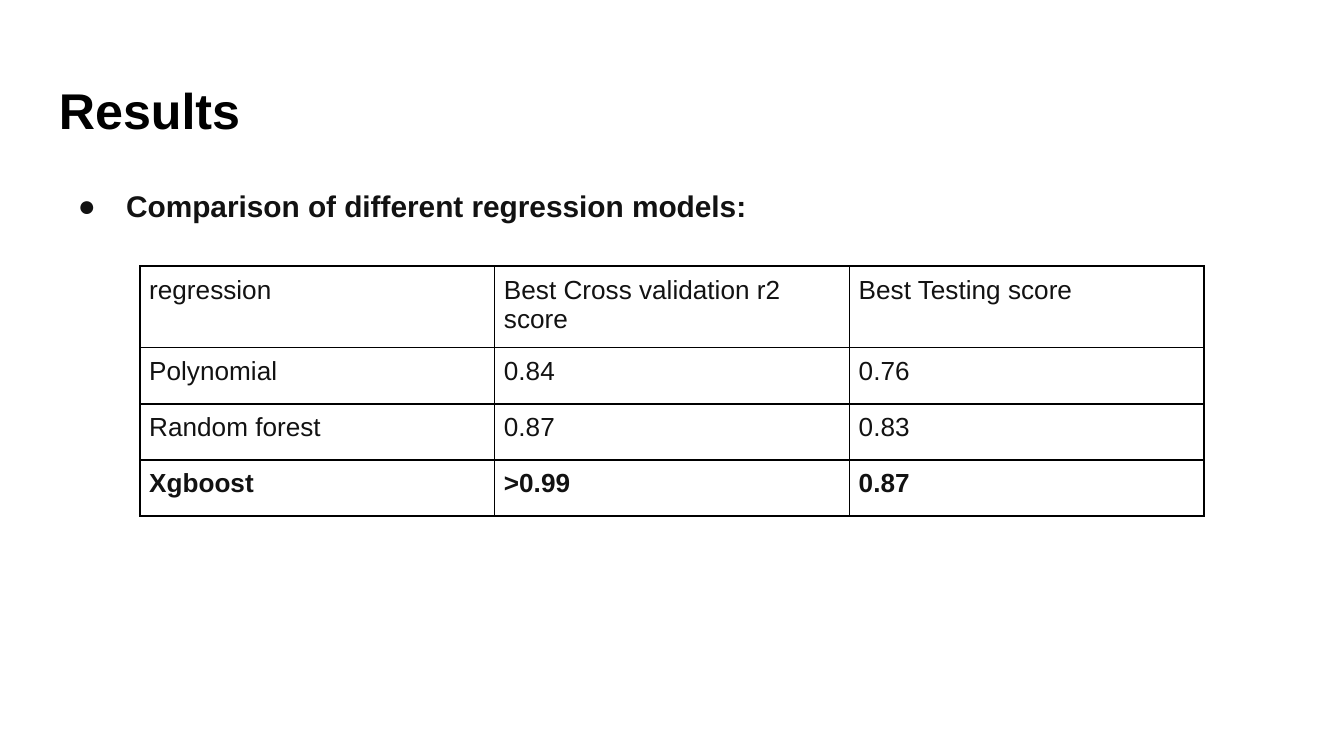
from lxml.etree import SubElement
from pptx import Presentation
from pptx.dml.color import RGBColor
from pptx.oxml.ns import qn
from pptx.util import Inches, Pt

TITLE = "Results"
SUBTITLE = "Comparison of different regression models:"
SCORES = [
    ("regression", "Best Cross validation r2 score", "Best Testing score"),
    ("Polynomial", "0.84", "0.76"),
    ("Random forest", "0.87", "0.83"),
    ("Xgboost", ">0.99", "0.87"),
]
BEST_MODEL = "Xgboost"
BLACK, INK = "000000", "121212"
TABLE_WIDTH, TABLE_HEIGHT = 7.92, 1.67


def style(paragraph, size, color, bold=False):
    for run in paragraph.runs:
        run.font.name = "Arial"
        run.font.size = Pt(size)
        run.font.bold = bold
        run.font.color.rgb = RGBColor.from_string(color)


def set_margins(target, inches):
    target.margin_left = target.margin_right = Inches(inches)
    target.margin_top = target.margin_bottom = Inches(inches)


def add_text(slide, text, top, height, size, color):
    """Add a bold full-width line of text and return its paragraph."""
    box = slide.shapes.add_textbox(Inches(0.34), Inches(top), Inches(9.32), Inches(height))
    frame = box.text_frame
    frame.word_wrap = True
    set_margins(frame, 0.1)
    frame.text = text
    style(frame.paragraphs[0], size, color, bold=True)
    return frame.paragraphs[0]


def add_bullet(paragraph, color):
    properties = paragraph._p.get_or_add_pPr()
    properties.set("marL", str(Inches(0.5)))
    properties.set("indent", str(Inches(-0.36)))
    bullet_color = SubElement(properties, qn("a:buClr"))
    SubElement(bullet_color, qn("a:srgbClr"), val=color)
    SubElement(properties, qn("a:buFont"), typeface="Arial")
    SubElement(properties, qn("a:buChar"), char="●")


def add_borders(cell, color):
    properties = cell._tc.get_or_add_tcPr()
    for position, side in enumerate(("a:lnL", "a:lnR", "a:lnT", "a:lnB")):
        line = properties.makeelement(qn(side), {"w": str(Pt(1))})
        fill = SubElement(line, qn("a:solidFill"))
        SubElement(fill, qn("a:srgbClr"), val=color)
        properties.insert(position, line)


def add_score_table(slide):
    table = slide.shapes.add_table(
        len(SCORES), len(SCORES[0]), Inches(1.04), Inches(1.98),
        Inches(TABLE_WIDTH), Inches(TABLE_HEIGHT),
    ).table
    table.first_row = table.horz_banding = False
    for row, scores in enumerate(SCORES):
        for column, score in enumerate(scores):
            cell = table.cell(row, column)
            cell.text = score
            paragraph = cell.text_frame.paragraphs[0]
            paragraph.line_spacing = 1.0
            style(paragraph, 14, INK, bold=scores[0] == BEST_MODEL)
            set_margins(cell, 0.07)
            cell.fill.background()
            add_borders(cell, BLACK)


presentation = Presentation()
presentation.slide_width = Inches(10)
presentation.slide_height = presentation.slide_width * 9 // 16
slide = presentation.slides.add_slide(presentation.slide_layouts[6])
add_text(slide, TITLE, 0.49, 0.63, 26.9, BLACK)
subtitle = add_text(slide, SUBTITLE, 1.26, 3.74, 16, INK)
subtitle.line_spacing = 1.15
add_bullet(subtitle, INK)
add_score_table(slide)
presentation.save("out.pptx")
